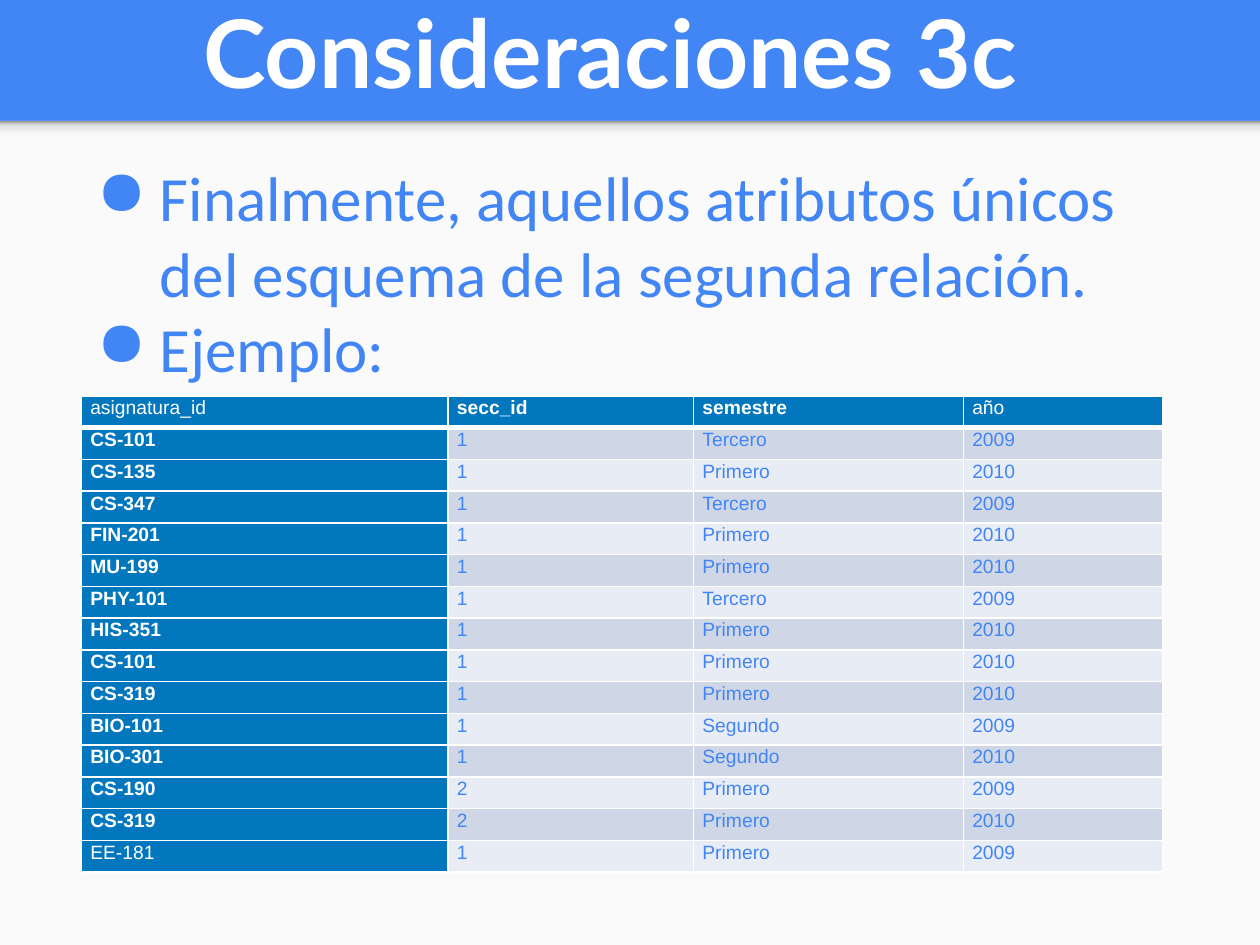
from lxml import etree
from pptx import Presentation
from pptx.dml.color import RGBColor
from pptx.enum.shapes import MSO_SHAPE
from pptx.enum.text import MSO_ANCHOR, MSO_AUTO_SIZE, PP_ALIGN
from pptx.oxml import parse_xml
from pptx.oxml.ns import nsdecls, qn
from pptx.util import Cm, Pt

RECTANGLE = MSO_SHAPE.RECTANGLE
BOTTOM = MSO_ANCHOR.BOTTOM
NO_AUTOFIT = MSO_AUTO_SIZE.NONE
CENTER = PP_ALIGN.CENTER

BLUE = RGBColor(0x42, 0x85, 0xF4)
DARK_BLUE = RGBColor(0x02, 0x77, 0xBD)
WHITE = RGBColor(0xFF, 0xFF, 0xFF)
PANEL_GREY = RGBColor(0xFA, 0xFA, 0xFA)
BANDS = (RGBColor(0xCF, 0xD7, 0xE7), RGBColor(0xE8, 0xEC, 0xF4))
SHADOW_STOPS = (
    (0, RGBColor(0xF9, 0xF9, 0xF9)),
    (36, RGBColor(0xF9, 0xF9, 0xF9)),
    (80, RGBColor(0xDE, 0xDE, 0xDE)),
    (100, RGBColor(0x99, 0x99, 0x99)),
)

TITLE = "Consideraciones 3c "
POINTS = (
    "Finalmente, aquellos atributos únicos del esquema de la segunda relación.",
    "Ejemplo:",
)
SECTIONS = (
    ("asignatura_id", "secc_id", "semestre", "año"),
    ("CS-101", "1", "Tercero", "2009"),
    ("CS-135", "1", "Primero", "2010"),
    ("CS-347", "1", "Tercero", "2009"),
    ("FIN-201", "1", "Primero", "2010"),
    ("MU-199", "1", "Primero", "2010"),
    ("PHY-101", "1", "Tercero", "2009"),
    ("HIS-351", "1", "Primero", "2010"),
    ("CS-101", "1", "Primero", "2010"),
    ("CS-319", "1", "Primero", "2010"),
    ("BIO-101", "1", "Segundo", "2009"),
    ("BIO-301", "1", "Segundo", "2010"),
    ("CS-190", "2", "Primero", "2009"),
    ("CS-319", "2", "Primero", "2010"),
    ("EE-181", "1", "Primero", "2009"),
)
COLUMN_WIDTHS = (7.39, 4.95, 5.44, 4.01)
REGULAR_LABELS = ("asignatura_id", "año", "EE-181")


def style_font(font, name, size, color, bold=False):
    font.name = name
    font.size = Pt(size)
    font.bold = bold
    font.color.rgb = color


def add_panel(slide, left, top, width, height):
    """Light content area with a soft shadow along its top edge."""
    panel = slide.shapes.add_shape(RECTANGLE, left, top, width, height)
    edge = slide.shapes.add_shape(RECTANGLE, left, top, width, Cm(0.41))
    for part in (panel, edge):
        part.shadow.inherit = False
        part.line.fill.background()
    panel.fill.solid()
    panel.fill.fore_color.rgb = PANEL_GREY

    # Four-stop gradient, darkest at the top
    edge.fill.gradient()
    edge.fill.gradient_angle = 90
    stops = edge.fill._fill._gradFill.find(qn("a:gsLst"))
    for stop in list(stops):
        stops.remove(stop)
    for position, color in SHADOW_STOPS:
        stops.append(parse_xml(
            f'<a:gs {nsdecls("a")} pos="{position * 1000}">'
            f'<a:srgbClr val="{color}"/></a:gs>'))


def place_title(slide, left, top, width, height):
    title = slide.shapes.title
    title.left, title.top, title.width, title.height = left, top, width, height
    frame = title.text_frame
    frame.auto_size = NO_AUTOFIT
    frame.vertical_anchor = BOTTOM
    frame.text = TITLE
    frame.paragraphs[0].alignment = CENTER
    style_font(frame.paragraphs[0].runs[0].font, "Lato", 54, WHITE, True)


def add_points(slide, left, top, width, height):
    frame = slide.shapes.add_textbox(left, top, width, height).text_frame
    frame.word_wrap = True
    frame.text = "\n".join(POINTS)
    for paragraph in frame.paragraphs:
        properties = paragraph._p.get_or_add_pPr()
        properties.set("marL", str(Cm(1.27)))
        properties.set("indent", str(Cm(-1.27)))
        bullet_color = etree.SubElement(properties, qn("a:buClr"))
        etree.SubElement(bullet_color, qn("a:srgbClr"), val=str(BLUE))
        etree.SubElement(properties, qn("a:buChar"), char="●")
        style_font(paragraph.runs[0].font, "Calibri", 36, BLUE)


def set_borders(cell, bottom_width):
    properties = cell._tc.get_or_add_tcPr()
    widths = {"lnL": 1, "lnR": 1, "lnT": 1, "lnB": bottom_width}
    for index, (side, width) in enumerate(widths.items()):
        properties.insert(index, parse_xml(
            f'<a:{side} {nsdecls("a")} w="{Pt(width)}"><a:solidFill>'
            f'<a:srgbClr val="{WHITE}"/></a:solidFill></a:{side}>'))


def fill_cell(cell, text, row, column):
    is_label = row == 0 or column == 0
    cell.margin_left = cell.margin_right = Cm(0.18)
    cell.margin_top = cell.margin_bottom = 0
    cell.fill.solid()
    cell.fill.fore_color.rgb = DARK_BLUE if is_label else BANDS[(row - 1) % 2]
    set_borders(cell, 3 if row == 0 else 1)
    cell.text_frame.text = text
    paragraph = cell.text_frame.paragraphs[0]
    paragraph.line_spacing = 1.07
    style_font(paragraph.runs[0].font, "Arial", 11,
               WHITE if is_label else BLUE,
               is_label and text not in REGULAR_LABELS)


def add_sections_table(slide, left, top, width, height):
    table = slide.shapes.add_table(
        len(SECTIONS), len(COLUMN_WIDTHS), left, top, width, height).table
    for column, column_width in zip(table.columns, COLUMN_WIDTHS):
        column.width = Cm(column_width)
    for row, values in enumerate(SECTIONS):
        for column, text in enumerate(values):
            fill_cell(table.cell(row, column), text, row, column)


def main():
    presentation = Presentation()
    presentation.slide_width = Cm(25.4)
    presentation.slide_height = Cm(19.05)
    slide = presentation.slides.add_slide(presentation.slide_layouts[5])
    slide.background.fill.solid()
    slide.background.fill.fore_color.rgb = BLUE

    add_panel(slide, 0, Cm(2.44), Cm(25.4), Cm(16.61))
    place_title(slide, Cm(0.28), Cm(0.05), Cm(24.51), Cm(2.24))
    add_points(slide, Cm(1.7), Cm(3.07), Cm(22.58), Cm(4.88))
    add_sections_table(slide, Cm(1.64), Cm(7.98),
                       Cm(sum(COLUMN_WIDTHS)), Cm(0.64 * len(SECTIONS)))
    presentation.save("out.pptx")


if __name__ == "__main__":
    main()
